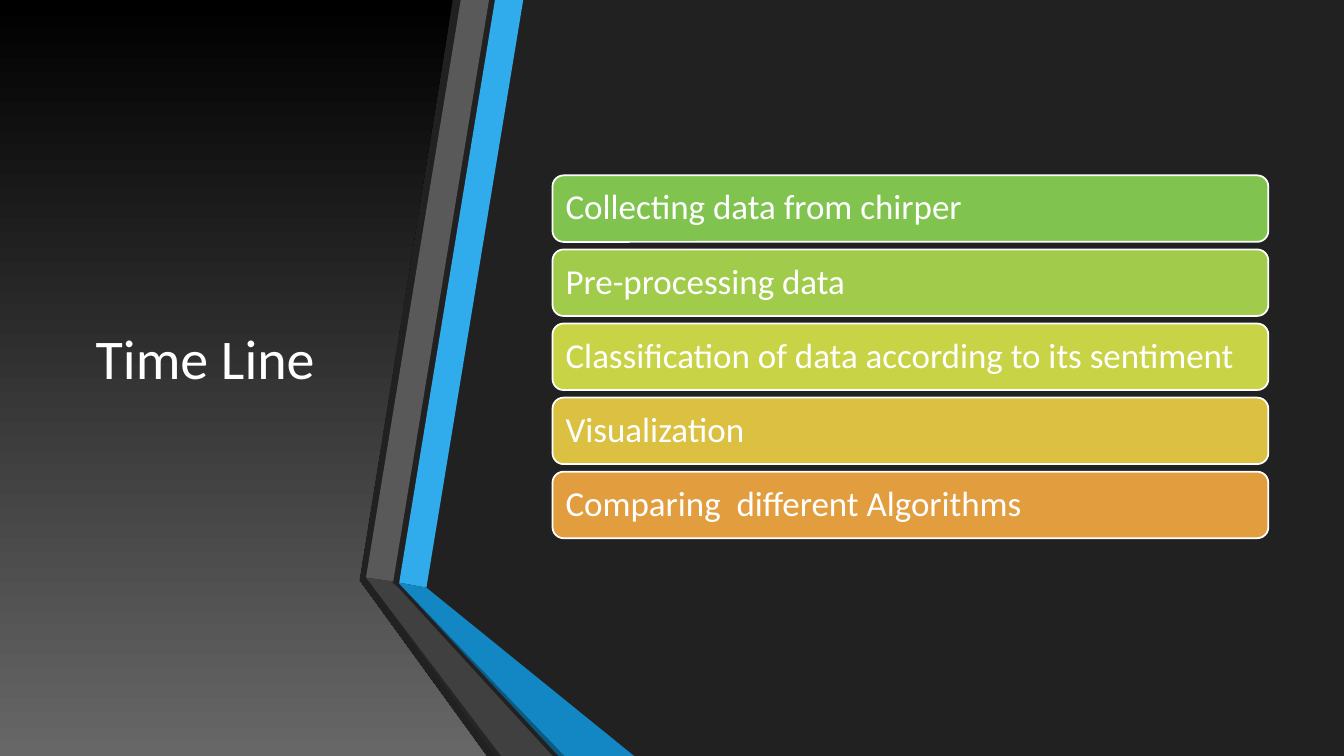
from pptx import Presentation, util as u
from pptx.dml.color import RGBColor
from pptx.enum import shapes, text

COLORS = {"back": "212121", "white": "FFFFFF", "top": "000000", "bottom": "676767",
          "blue": "30ACEC", "blue fold": "1287C3", "blue edge": "0C5A82",
          "gray": "595959", "gray fold": "404040", "gray edge": "262626"}
UNIT = u.Inches(0.01)  # grid unit: the slide is 1333 by 750
W, H = 1333, 750


def rgb(name):
    return RGBColor.from_string(COLORS.get(name, name))


def add_outline(s, points):
    builder = s.shapes.build_freeform(*points[0], scale=UNIT)
    builder.add_line_segments(points[1:], close=True)
    sp = builder.convert_to_shape()
    sp.shadow.inherit = False
    sp.line.fill.background()
    return sp


prs = Presentation()
prs.slide_width, prs.slide_height = u.Inches(13.33), u.Inches(7.5)
s = prs.slides.add_slide(prs.slide_layouts[6])
s.background.fill.solid()
s.background.fill.fore_color.rgb = rgb("back")

# Left panel, black fading to gray
panel = add_outline(s, [(0, 0), (449, 0), (356, 576), (482, H), (0, H)])
panel.fill.gradient()
panel.fill.gradient_angle = 270
for stop, name in zip(panel.fill.gradient_stops, ("top", "bottom")):
    stop.color.rgb = rgb(name)

# Folded ribbons
ribbons = [
    ("blue", [(396, 578), (423, 583), (519, 0), (491, 0)]),
    ("gray", [(485, 0), (457, 0), (363, 573), (390, 577)]),
    ("gray edge", [(363, 573), (491, H), (497, H)]),
    ("blue edge", [(396, 579), (554, H), (560, H)]),
    ("blue fold", [(396, 578), (396, 579), (560, H), (629, H), (423, 583)]),
    ("gray fold", [(363, 573), (497, H), (548, H), (395, 583), (389, 578), (390, 577)]),
]
for name, points in ribbons:
    sp = add_outline(s, points)
    sp.fill.solid()
    sp.fill.fore_color.rgb = rgb(name)

# Title
title = s.shapes.add_textbox(59 * UNIT, H // 10 * UNIT, 289 * UNIT, 558 * UNIT)
tf = title.text_frame
tf.word_wrap = True
tf.vertical_anchor = text.MSO_ANCHOR.MIDDLE
p = tf.paragraphs[0]
p.text = "Time Line"
p.alignment = text.PP_ALIGN.CENTER
p.font.name, p.font.size = "Calibri", u.Pt(40)
p.font.color.rgb = rgb("white")

# Steps, one bar per row
steps = [
    ("Collecting data from chirper", "80C34F"),
    ("Pre-processing data", "A1CB4A"),
    ("Classification of data according to its sentiment", "C8D346"),
    ("Visualization", "DBC042"),
    ("Comparing  different Algorithms", "E29D3E"),
]
LEFT, TOP, BAR_W, BAR_H, PITCH = 548, 174, 710, 66, 73.5
for row, (label, color) in enumerate(steps):
    sp = s.shapes.add_shape(shapes.MSO_SHAPE.ROUNDED_RECTANGLE, LEFT * UNIT,
                            int((TOP + row * PITCH) * UNIT), BAR_W * UNIT, BAR_H * UNIT)
    sp.shadow.inherit = False
    sp.fill.solid()
    sp.fill.fore_color.rgb = rgb(color)
    sp.line.color.rgb = rgb("white")
    sp.line.width = u.Pt(1.25)
    tf = sp.text_frame
    tf.word_wrap = True
    tf.vertical_anchor = text.MSO_ANCHOR.MIDDLE
    p = tf.paragraphs[0]
    p.text = label
    p.alignment = text.PP_ALIGN.LEFT
    p.line_spacing = 0.9
    p.font.name, p.font.size = "Calibri", u.Pt(25)
    p.font.color.rgb = rgb("white")

prs.save("out.pptx")
